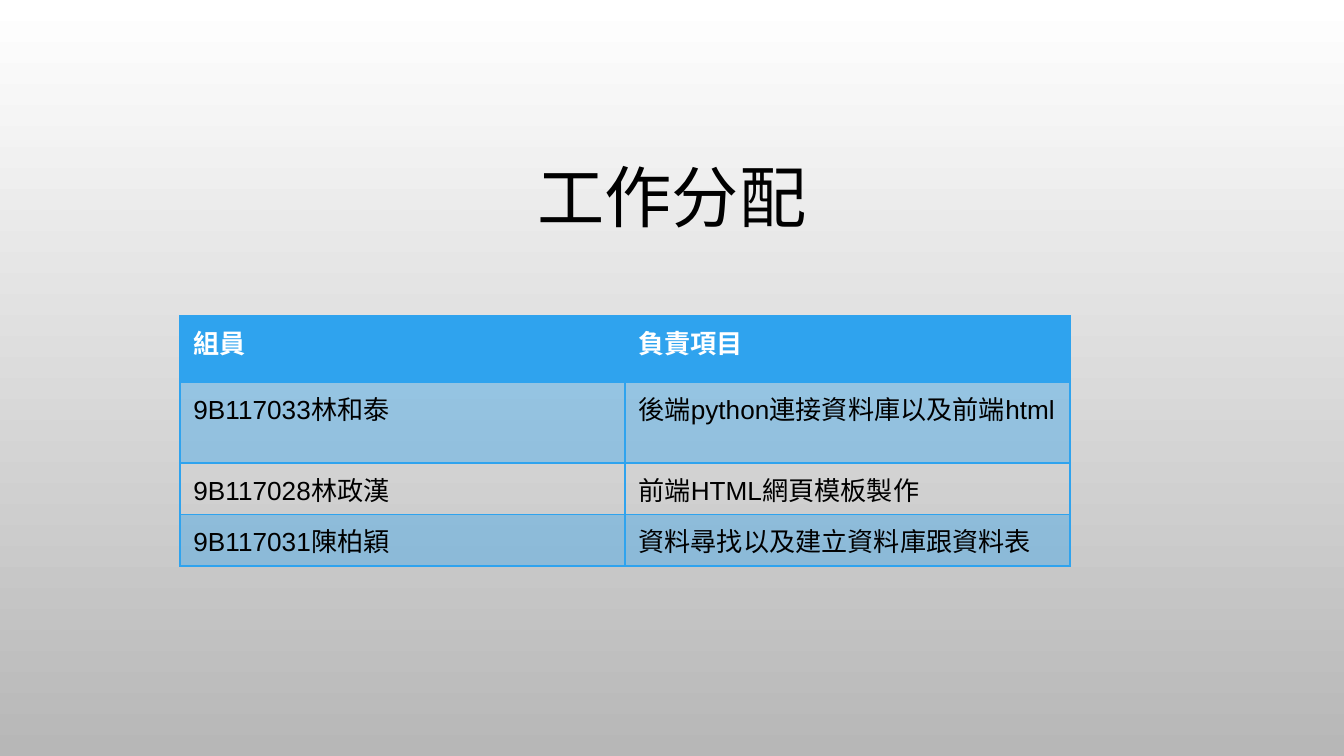
"""Build the work assignment slide with its title and member table."""
import pptx
import pptx.dml.color
import pptx.enum.text
import pptx.oxml
import pptx.oxml.ns
import pptx.util

EMU_PER_PX = 914400 / 134.4
COLORS = {
    "top": "FFFFFF",
    "bottom": "B7B7B7",
    "accent": "2FA3EE",
    "header_text": "FFFFFF",
    "text": "000000",
}
ASSIGNMENTS = [
    ("組員", "負責項目"),
    ("9B117033林和泰", "後端python連接資料庫以及前端html"),
    ("9B117028林政漢", "前端HTML網頁模板製作"),
    ("9B117031陳柏穎", "資料尋找以及建立資料庫跟資料表"),
]
COLUMN_WIDTH = 445
HEADER_HEIGHT = 66
ROW_HEIGHT = 47


def px(length):
    return pptx.util.Emu(round(length * EMU_PER_PX))


def rgb(name):
    return pptx.dml.color.RGBColor.from_string(COLORS[name])


def format_runs(paragraph, font_name, size, color, bold=False):
    for run in paragraph.runs:
        run.font.name = font_name
        run.font.size = pptx.util.Pt(size)
        run.font.bold = bold
        run.font.color.rgb = rgb(color)


def paint_background(slide):
    fill = slide.background.fill
    fill.gradient()
    fill.gradient_angle = 270
    for stop, position, color in zip(fill.gradient_stops, (0, 1), ("top", "bottom")):
        stop.position = position
        stop.color.rgb = rgb(color)


def add_title(slide, text):
    title = slide.shapes.title
    title.left, title.top, title.width, title.height = px(193), px(144), px(958), px(100)
    frame = title.text_frame
    frame.text = text
    frame.auto_size = pptx.enum.text.MSO_AUTO_SIZE.NONE
    frame.vertical_anchor = pptx.enum.text.MSO_ANCHOR.BOTTOM
    paragraph = frame.paragraphs[0]
    paragraph.alignment = pptx.enum.text.PP_ALIGN.CENTER
    paragraph.line_spacing = 0.9
    format_runs(paragraph, "Cambria", 36, "text")


def set_borders(cell, bottom):
    properties = cell._tc.get_or_add_tcPr()
    sides = {"lnL": "accent", "lnR": "accent", "lnT": "accent", "lnB": bottom}
    for index, (side, color) in enumerate(sides.items()):
        border = pptx.oxml.parse_xml(
            f'<a:{side} {pptx.oxml.ns.nsdecls("a")} w="{pptx.util.Pt(0.75)}">'
            f'<a:solidFill><a:srgbClr val="{COLORS[color]}"/></a:solidFill></a:{side}>'
        )
        properties.insert(index, border)


def fill_cell(cell, opacity):
    if not opacity:
        cell.fill.background()
        return
    cell.fill.solid()
    cell.fill.fore_color.rgb = rgb("accent")
    if opacity < 100:
        color = cell._tc.tcPr.find(".//" + pptx.oxml.ns.qn("a:srgbClr"))
        alpha = color.makeelement(pptx.oxml.ns.qn("a:alpha"), {"val": str(opacity * 1000)})
        color.append(alpha)


def format_cell(cell, row_index):
    is_header = row_index == 0
    color = "header_text" if is_header else "text"
    format_runs(cell.text_frame.paragraphs[0], "Arial", 14, color, is_header)
    fill_cell(cell, 100 if is_header else 40 * (row_index % 2))
    set_borders(cell, "header_text" if is_header else "accent")


def add_assignment_table(slide, assignments):
    column_count = len(assignments[0])
    height = HEADER_HEIGHT + ROW_HEIGHT * (len(assignments) - 1)
    table = slide.shapes.add_table(
        len(assignments), column_count,
        px(180), px(316), px(COLUMN_WIDTH * column_count), px(height),
    ).table
    for column in table.columns:
        column.width = px(COLUMN_WIDTH)
    for row_index, assignment in enumerate(assignments):
        table.rows[row_index].height = px(ROW_HEIGHT if row_index else HEADER_HEIGHT)
        for column_index, text in enumerate(assignment):
            cell = table.cell(row_index, column_index)
            cell.text_frame.text = text
            format_cell(cell, row_index)
    table.horz_banding = False


def main():
    presentation = pptx.Presentation()
    presentation.slide_width = px(1344)
    presentation.slide_height = px(756)
    slide = presentation.slides.add_slide(presentation.slide_layouts.get_by_name("Title Only"))
    paint_background(slide)
    add_title(slide, "工作分配")
    add_assignment_table(slide, ASSIGNMENTS)
    presentation.save("out.pptx")


if __name__ == "__main__":
    main()
